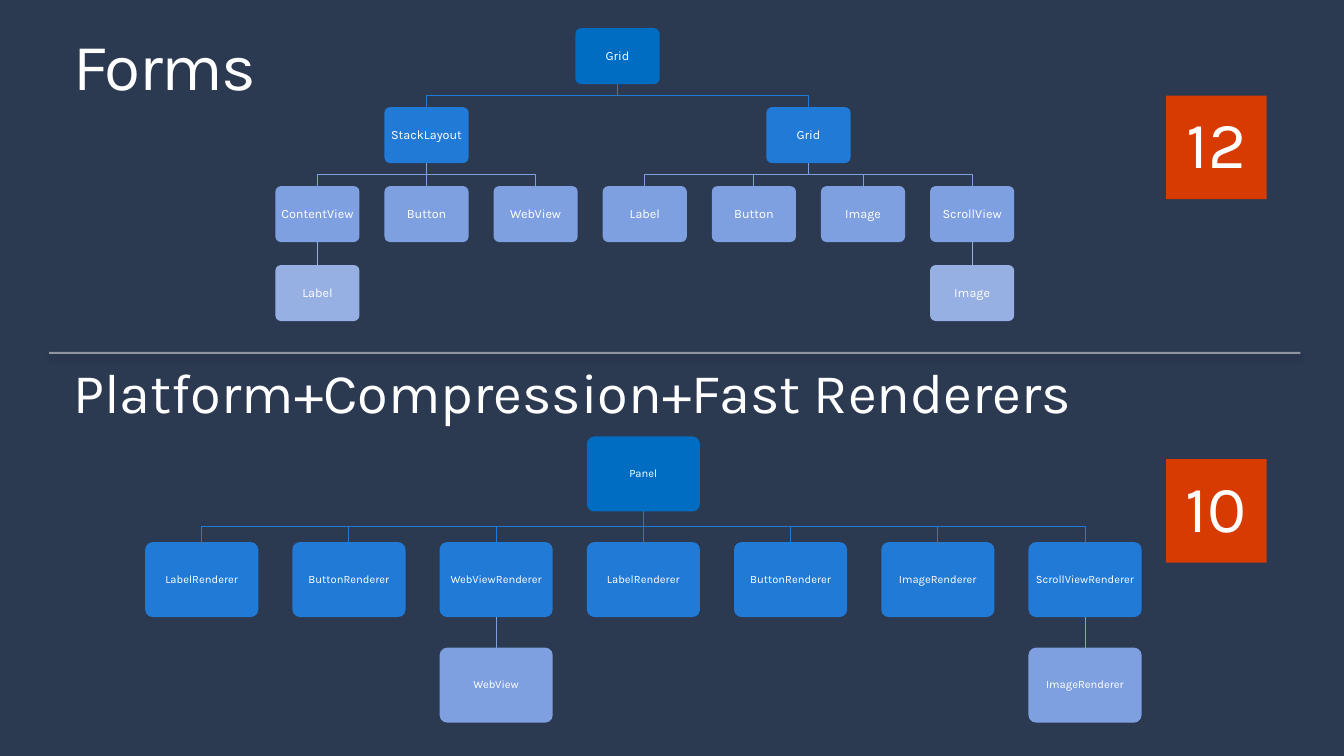
import pptx
import pptx.util
import pptx.dml.color
import pptx.enum.shapes
import pptx.enum.text
import pptx.oxml
from dataclasses import dataclass

Cm = pptx.util.Cm
Pt = pptx.util.Pt
Rgb = pptx.dml.color.RGBColor.from_string
Align = pptx.enum.text.PP_ALIGN
Kind = pptx.enum.shapes.MSO_SHAPE
Link = pptx.enum.shapes.MSO_CONNECTOR

# Each node is a label followed by its children.
FORMS = ("Grid", [
    ("StackLayout", [
        ("ContentView", [("Label", [])]),
        ("Button", []),
        ("WebView", [])]),
    ("Grid", [
        ("Label", []),
        ("Button", []),
        ("Image", []),
        ("ScrollView", [("Image", [])])])])
PANEL = ("Panel", [
    ("LabelRenderer", []),
    ("ButtonRenderer", []),
    ("WebViewRenderer", [("WebView", [])]),
    ("LabelRenderer", []),
    ("ButtonRenderer", []),
    ("ImageRenderer", []),
    ("ScrollViewRenderer", [("ImageRenderer", [])])])

# Lengths in cm: left and top of the tree, column and row steps, box size.
TREES = [
    dict(root=FORMS, left=6.94, top=0.71, step=2.75, drop=1.99,
         wide=2.12, high=1.41, levels=["006DC3", "227AD7", "7FA0E0", "97B0E4"],
         size=9),
    dict(root=PANEL, left=3.66, top=11.0, step=3.71, drop=2.66,
         wide=2.85, high=1.89, levels=["006DC3", "227AD7", "7FA0E0"],
         size=8),
]
TITLE = "Forms"
SECOND = "Platform+Compression+Fast Renderers"
COUNTS = [("12", 2.41), ("10", 11.57)]


@dataclass
class Theme:
    font: str = "Karla"
    back: str = "2B3951"
    text: str = "FFFFFF"
    badge: str = "D83B01"
    rule: str = "F2F2F2"
    title: int = 47
    second: int = 40


theme = Theme()
deck = pptx.Presentation()
deck.slide_width, deck.slide_height = Cm(33.87), Cm(19.05)
slide = deck.slides.add_slide(deck.slide_layouts[5])
slide.background.fill.solid()
slide.background.fill.fore_color.rgb = Rgb(theme.back)
shapes = slide.shapes


def write(shape, text, size, align=Align.CENTER, wrap=True, track=0):
    """Set one line of text; track is letter spacing in points."""
    frame = shape.text_frame
    frame.auto_size = pptx.enum.text.MSO_AUTO_SIZE.NONE
    frame.word_wrap = wrap
    frame.vertical_anchor = pptx.enum.text.MSO_ANCHOR.MIDDLE
    frame.margin_left = frame.margin_right = 0
    frame.margin_top = frame.margin_bottom = 0
    line = frame.paragraphs[0]
    line.alignment = align
    line.line_spacing = 0.9
    line.space_before = Pt(0)
    run = line.add_run()
    run.text = text
    run.font.name = theme.font
    run.font.size = Pt(size)
    run.font.color.rgb = Rgb(theme.text)
    if track:
        run.font._element.set("spc", str(track * 100))


def block(kind, left, top, wide, high, fill):
    shape = shapes.add_shape(kind, Cm(left), Cm(top), Cm(wide), Cm(high))
    shape.shadow.inherit = False
    shape.fill.solid()
    shape.fill.fore_color.rgb = Rgb(fill)
    shape.line.fill.background()
    return shape


def stroke(start, end, color, width):
    """Draw a straight line and return it with an empty effect list."""
    line = shapes.add_connector(Link.STRAIGHT, *map(Cm, start + end))
    line.line.color.rgb = Rgb(color)
    line.line.width = Pt(width)
    glow = pptx.oxml.parse_xml(f"<a:effectLst {NS}/>")
    line._element.spPr.append(glow)
    return line, glow


NS = 'xmlns:a="http://schemas.openxmlformats.org/drawingml/2006/main"'


def join(start, end, color):
    """Link a parent to a child, bending halfway down."""
    (x1, y1), (x2, y2) = start, end
    if abs(x1 - x2) < 0.01:
        stroke(start, end, color, 0.75)
        return
    mid = (y1 + y2) / 2
    path = shapes.build_freeform(Cm(x1), Cm(y1))
    turns = [(x1, mid), (x2, mid), (x2, y2)]
    path.add_line_segments([(Cm(x), Cm(y)) for x, y in turns], close=False)
    bend = path.convert_to_shape()
    bend.shadow.inherit = False
    bend.fill.background()
    bend.line.color.rgb = Rgb(color)
    bend.line.width = Pt(0.75)


def place(node, first=0):
    """Return label, column, placed children and leaf count of a node."""
    label, below = node
    kids, leaves = [], 0
    for child in below:
        kids.append(place(child, first + leaves))
        leaves += kids[-1][3]
    column = (kids[0][1] + kids[-1][1]) / 2 if kids else first
    return label, column, kids, max(leaves, 1)


def grow(node, tree, depth=0):
    label, column, kids, _ = node
    wide, high = tree["wide"], tree["high"]
    left = tree["left"] + column * tree["step"]
    top = tree["top"] + depth * tree["drop"]
    box = block(Kind.ROUNDED_RECTANGLE, left, top, wide, high,
                tree["levels"][depth])
    box.adjustments[0] = 0.1
    write(box, label, tree["size"], wrap=False)
    for kid in kids:
        x = tree["left"] + kid[1] * tree["step"] + wide / 2
        join((left + wide / 2, top + high), (x, top + tree["drop"]),
             tree["levels"][depth + 1])
        grow(kid, tree, depth + 1)


for tree in TREES:
    grow(place(tree["root"]), tree)

title = shapes.title
title.left, title.top = Cm(1.85), Cm(0.15)
title.width, title.height = Cm(31.24), Cm(3.18)
write(title, TITLE, theme.title, align=Align.LEFT, track=-1)
second = shapes.add_textbox(Cm(1.85), Cm(8.38), Cm(31.24), Cm(3.18))
write(second, SECOND, theme.second, align=Align.LEFT)

rule, glow = stroke((1.24, 8.89), (32.77, 8.89), theme.rule, 1.35)
tint = rule.line.color._xFill[0]
tint.append(pptx.oxml.parse_xml(f'<a:alpha {NS} val="50000"/>'))
glow.append(pptx.oxml.parse_xml(
    f'<a:outerShdw {NS} blurRad="{Pt(4)}" dist="{Pt(3)}" dir="5400000">'
    '<a:srgbClr val="000000"><a:alpha val="40000"/></a:srgbClr>'
    '</a:outerShdw>'))

for count, top in COUNTS:
    badge = block(Kind.RECTANGLE, 29.39, top, 2.53, 2.61, theme.badge)
    write(badge, count, theme.title, wrap=False)

deck.save("out.pptx")
